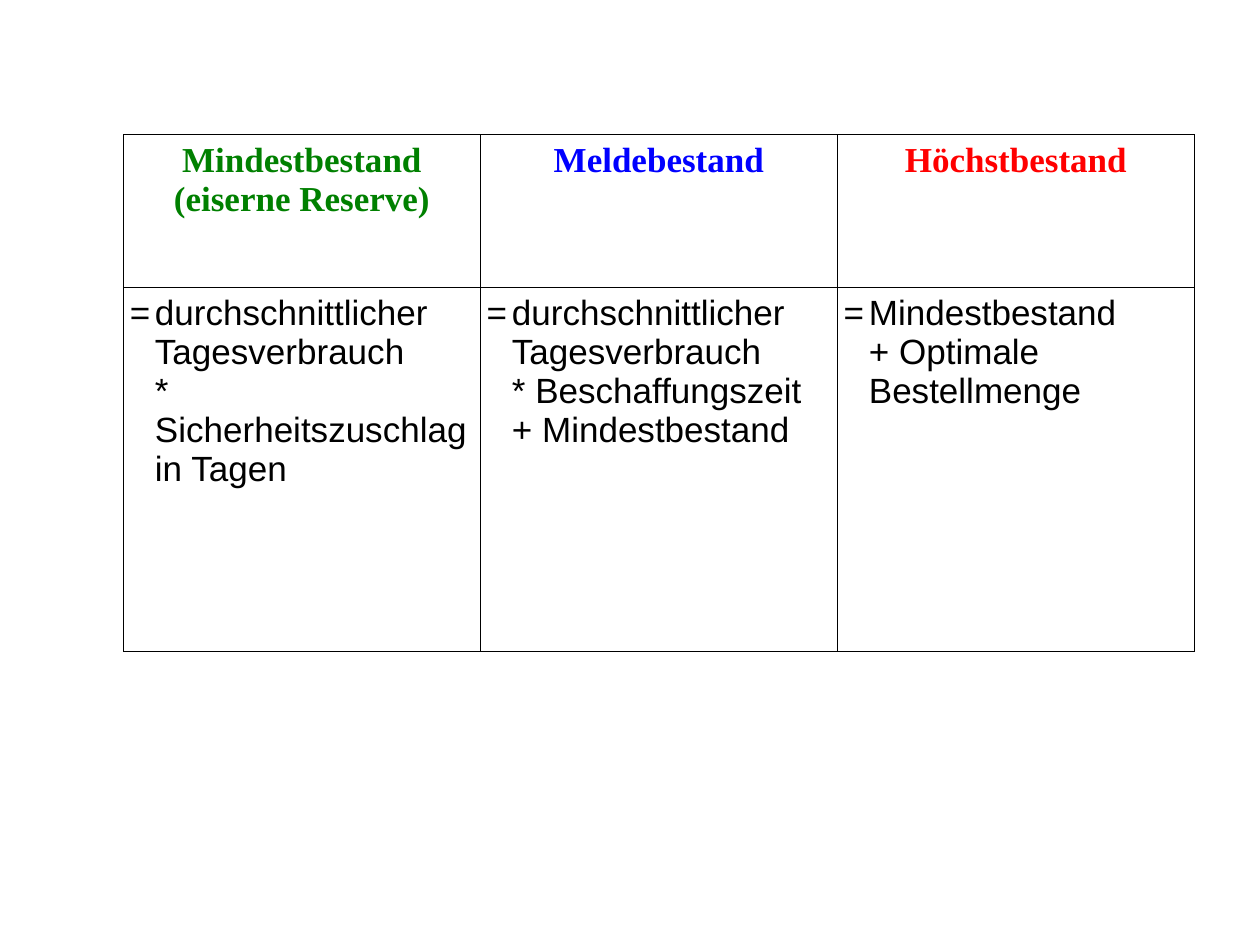
from dataclasses import dataclass

from lxml import etree
from pptx import Presentation
from pptx.dml.color import RGBColor
from pptx.enum.text import PP_ALIGN
from pptx.oxml.ns import qn
from pptx.table import _Cell
from pptx.util import Inches, Pt

CENTER = PP_ALIGN.CENTER
LEFT = PP_ALIGN.LEFT
BLACK = RGBColor(0x00, 0x00, 0x00)
GREEN = RGBColor(0x00, 0x80, 0x00)
BLUE = RGBColor(0x00, 0x00, 0xFF)
RED = RGBColor(0xFF, 0x00, 0x00)
TABLE_WIDTH = Inches(8.5)
ROW_HEIGHTS = (Inches(1.21), Inches(2.89))
CELL_MARGIN = Inches(0.05)
HANGING_INDENT = Inches(0.2)
BORDER_WIDTH = Pt(0.45)
TEXT_SIZE = Pt(20)


@dataclass(frozen=True)
class StockLevel:
    title_lines: tuple[str, ...]
    color: RGBColor
    formula_lines: tuple[str, ...]


STOCK_LEVELS = (
    StockLevel(
        ("Mindestbestand", "(eiserne Reserve)"),
        GREEN,
        ("=\tdurchschnittlicher Tagesverbrauch", "* Sicherheitszuschlag in Tagen"),
    ),
    StockLevel(
        ("Meldebestand",),
        BLUE,
        ("=\tdurchschnittlicher Tagesverbrauch", "* Beschaffungszeit", "+ Mindestbestand"),
    ),
    StockLevel(
        ("Höchstbestand",),
        RED,
        ("=\tMindestbestand", "+ Optimale Bestellmenge"),
    ),
)


def style_cell(cell: _Cell) -> None:
    cell.margin_left = cell.margin_right = CELL_MARGIN
    cell.margin_top = cell.margin_bottom = CELL_MARGIN
    properties = cell._tc.get_or_add_tcPr()
    for side in ("a:lnL", "a:lnR", "a:lnT", "a:lnB"):
        line = etree.SubElement(properties, qn(side), w=str(BORDER_WIDTH))
        fill = etree.SubElement(line, qn("a:solidFill"))
        etree.SubElement(fill, qn("a:srgbClr"), val=str(BLACK))
    cell.fill.background()


def add_text(paragraph, text: str, font_name: str, color: RGBColor, bold: bool) -> None:
    run = paragraph.add_run()
    run.text = text
    run.font.name = font_name
    run.font.size = TEXT_SIZE
    run.font.bold = bold
    run.font.color.rgb = color


def write_title(cell: _Cell, level: StockLevel) -> None:
    for index, text in enumerate(level.title_lines):
        frame = cell.text_frame
        paragraph = frame.add_paragraph() if index else frame.paragraphs[0]
        paragraph.alignment = CENTER
        add_text(paragraph, text, "Times New Roman", level.color, True)


def write_formula(cell: _Cell, level: StockLevel) -> None:
    paragraph = cell.text_frame.paragraphs[0]
    paragraph.alignment = LEFT
    properties = paragraph._p.get_or_add_pPr()
    properties.set("marL", str(HANGING_INDENT))
    properties.set("indent", str(-HANGING_INDENT))
    tabs = etree.SubElement(properties, qn("a:tabLst"))
    etree.SubElement(tabs, qn("a:tab"), pos="0", algn="l")
    for index, text in enumerate(level.formula_lines):
        if index:
            paragraph.add_line_break()
        add_text(paragraph, text, "Arial", BLACK, False)


def main() -> None:
    """Build the slide that defines the three stock levels."""
    presentation = Presentation()
    presentation.slide_width = Inches(10)
    presentation.slide_height = Inches(7.5)
    slide = presentation.slides.add_slide(presentation.slide_layouts[6])

    table = slide.shapes.add_table(
        len(ROW_HEIGHTS), len(STOCK_LEVELS),
        Inches(0.98), Inches(1.07), TABLE_WIDTH, sum(ROW_HEIGHTS),
    ).table
    table.first_row = False
    table.horz_banding = False
    for row, height in zip(table.rows, ROW_HEIGHTS):
        row.height = height
    for cell in table.iter_cells():
        style_cell(cell)
    for column, level in enumerate(STOCK_LEVELS):
        write_title(table.cell(0, column), level)
        write_formula(table.cell(1, column), level)

    presentation.save("out.pptx")


if __name__ == "__main__":
    main()
